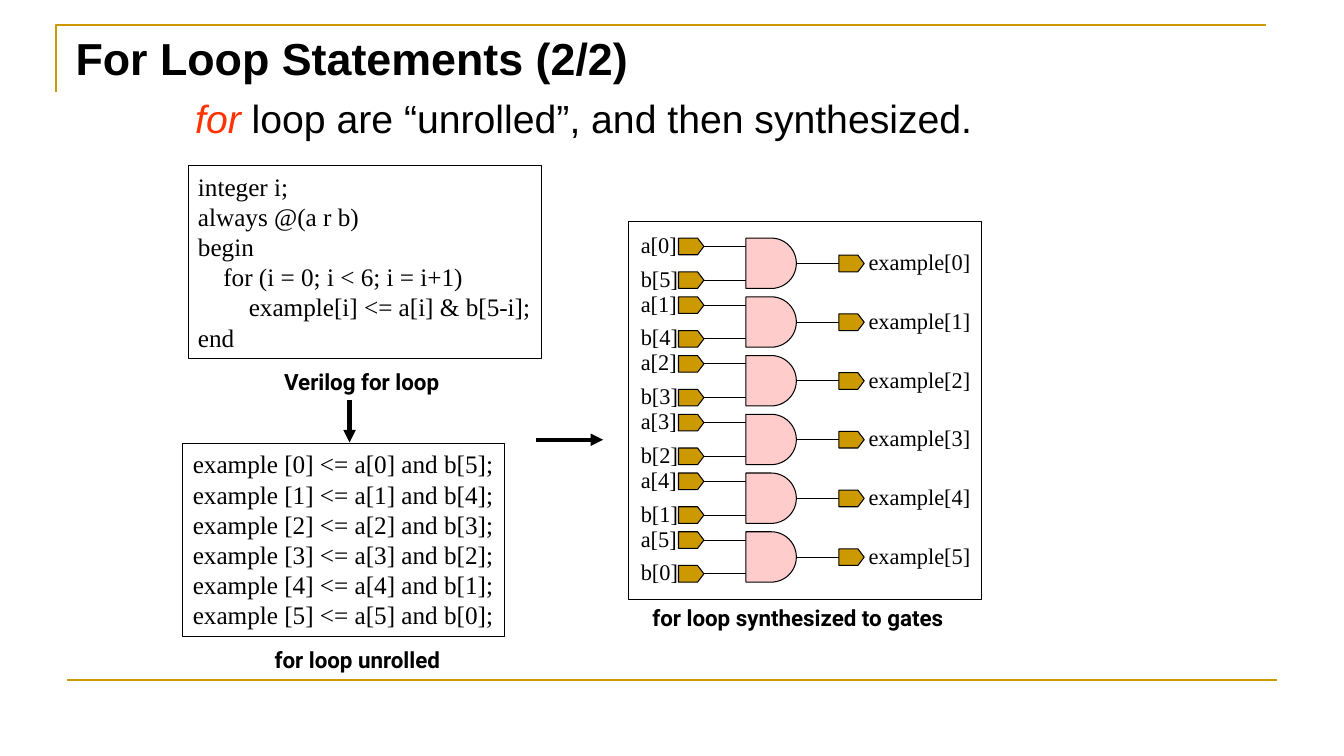
from pptx import Presentation
from pptx.dml.color import RGBColor
from pptx.enum import shapes, text
from pptx.oxml import parse_xml
from pptx.oxml.ns import nsdecls
from pptx.util import Cm, Pt


class Theme:
    ink = RGBColor.from_string("000000")
    gold = RGBColor.from_string("CC9900")
    pink = RGBColor.from_string("FFCCCC")
    red = RGBColor.from_string("FF3300")
    sans, serif, bold = "Arial", "Times New Roman", "Roboto"
    title, lead, code, label = Pt(32), Pt(28), Pt(18), Pt(16)
    thin, rule, thick = Pt(0.75), Pt(1.5), Pt(3)


KIND = shapes.MSO_SHAPE
deck = Presentation()
deck.slide_width, deck.slide_height = Cm(33.87), Cm(19.05)
slide = deck.slides.add_slide(deck.slide_layouts[5])
tree = slide.shapes


def box(place, kind=None, fill=None, lines=(), size=Theme.label, font=Theme.serif):
    """Add an outlined shape, or a plain text box when kind is None."""
    area = [Cm(v) for v in place]
    if kind is None:
        item = tree.add_textbox(*area)
    else:
        item = tree.add_shape(kind, *area)
        item.shadow.inherit = False
        item.line.color.rgb, item.line.width = Theme.ink, Theme.thin
        if fill is None:
            item.fill.background()
        else:
            item.fill.solid()
            item.fill.fore_color.rgb = fill
    if lines:
        frame = item.text_frame
        frame.text = "\n".join(lines)
        frame.word_wrap = False
        frame.auto_size = text.MSO_AUTO_SIZE.SHAPE_TO_FIT_TEXT
        frame.vertical_anchor = text.MSO_ANCHOR.TOP
        for para in frame.paragraphs:
            para.alignment = text.PP_ALIGN.LEFT
            para.font.name, para.font.size = font, size
            para.font.bold = font == Theme.bold
            para.font.color.rgb = Theme.ink
    return item


def wire(x1, y1, x2, y2, color=Theme.ink, width=Theme.thin, arrow=False):
    line = tree.add_connector(shapes.MSO_CONNECTOR.STRAIGHT, Cm(x1), Cm(y1), Cm(x2), Cm(y2))
    line.line.color.rgb, line.line.width = color, width
    if arrow:
        line.line._get_or_add_ln().append(parse_xml(f'<a:tailEnd {nsdecls("a")} type="triangle"/>'))
    line._element.spPr.append(parse_xml(f'<a:effectLst {nsdecls("a")}/>'))


# Rules around the slide
pen = tree.build_freeform(Cm(1.42), Cm(2.33), scale=1.0)
pen.add_line_segments([(Cm(1.42), Cm(0.64)), (Cm(31.9), Cm(0.64))], close=False)
corner = pen.convert_to_shape()
corner.shadow.inherit = False
corner.fill.background()
corner.line.color.rgb, corner.line.width = Theme.gold, Theme.rule
wire(1.7, 17.14, 32.18, 17.14, Theme.gold, Theme.rule)

# Title and lead sentence
title = tree.title
title.left, title.top, title.width, title.height = Cm(1.65), Cm(0.64), Cm(19.05), Cm(1.63)
title.text_frame.text = "For Loop Statements (2/2)"
title.text_frame.vertical_anchor = text.MSO_ANCHOR.TOP
title.text_frame.auto_size = text.MSO_AUTO_SIZE.NONE
head = title.text_frame.paragraphs[0]
head.alignment = text.PP_ALIGN.LEFT
head.font.name, head.font.size, head.font.bold = Theme.sans, Theme.title, True
head.font.color.rgb = Theme.ink

lead = box((4.67, 2.26, 22.86, 2.54)).text_frame
lead.word_wrap = True
para = lead.paragraphs[0]
para.font.name, para.font.size = Theme.sans, Theme.lead
for words, color in (("for", Theme.red), (" loop are “unrolled”, and then synthesized.", Theme.ink)):
    run = para.add_run()
    run.text = words
    run.font.color.rgb = color
    run.font.italic = color == Theme.red

# Code before and after unrolling
code = ["integer i;", "always @(a r b)", "begin", "for (i = 0; i < 6; i = i+1)",
        "example[i] <= a[i] & b[5-i];", "end"]
loop = box((4.74, 4.18, 8.9, 4.85), KIND.RECTANGLE, lines=code, size=Theme.code)
for row, depth in ((3, 1), (4, 2)):
    props = loop.text_frame.paragraphs[row]._p.get_or_add_pPr()
    props.set("marL", str(Cm(0.64 * depth)))
    props.set("indent", "0")
flat = [f"example [{i}] <= a[{i}] and b[{5 - i}];" for i in range(6)]
box((4.61, 11.18, 8.11, 4.85), KIND.RECTANGLE, lines=flat, size=Theme.code)

for x, y, wide, words in ((6.91, 9.16, 4.93, "Verilog for loop"),
                          (6.67, 16.16, 5.28, "for loop unrolled"),
                          (16.19, 15.09, 8.79, "for loop synthesized to gates")):
    box((x, y, wide, 0.94), lines=[words], font=Theme.bold)
wire(8.81, 10.08, 8.81, 11.15, width=Theme.thick, arrow=True)
wire(13.51, 11.08, 15.2, 11.08, width=Theme.thick, arrow=True)

# Gates
box((15.84, 5.58, 8.89, 9.53), KIND.RECTANGLE)
for i in range(6):
    top = 6 + 1.48 * i
    box((18.8, top, 1.27, 1.27), KIND.FLOWCHART_DELAY, Theme.pink)
    # name, drop, port left, label left, label width, wire start
    for name, drop, port, left, wide, start in (
            (f"a[{i}]", 0, 17.1, 15.9, 1.5, 17.73),
            (f"b[{5 - i}]", 0.85, 17.1, 15.9, 1.5, 17.73),
            (f"example[{i}]", 0.43, 21.14, 21.64, 3.15, 20.07)):
        y = top + drop
        wire(start, y + 0.21, start + 1.07, y + 0.21)
        pin = box((port, y, 0.64, 0.42), KIND.PENTAGON, Theme.gold)
        pin.adjustments[0] = 0.38
        box((left, y - 0.3, wide, 0.94), lines=[name])

deck.save("out.pptx")
